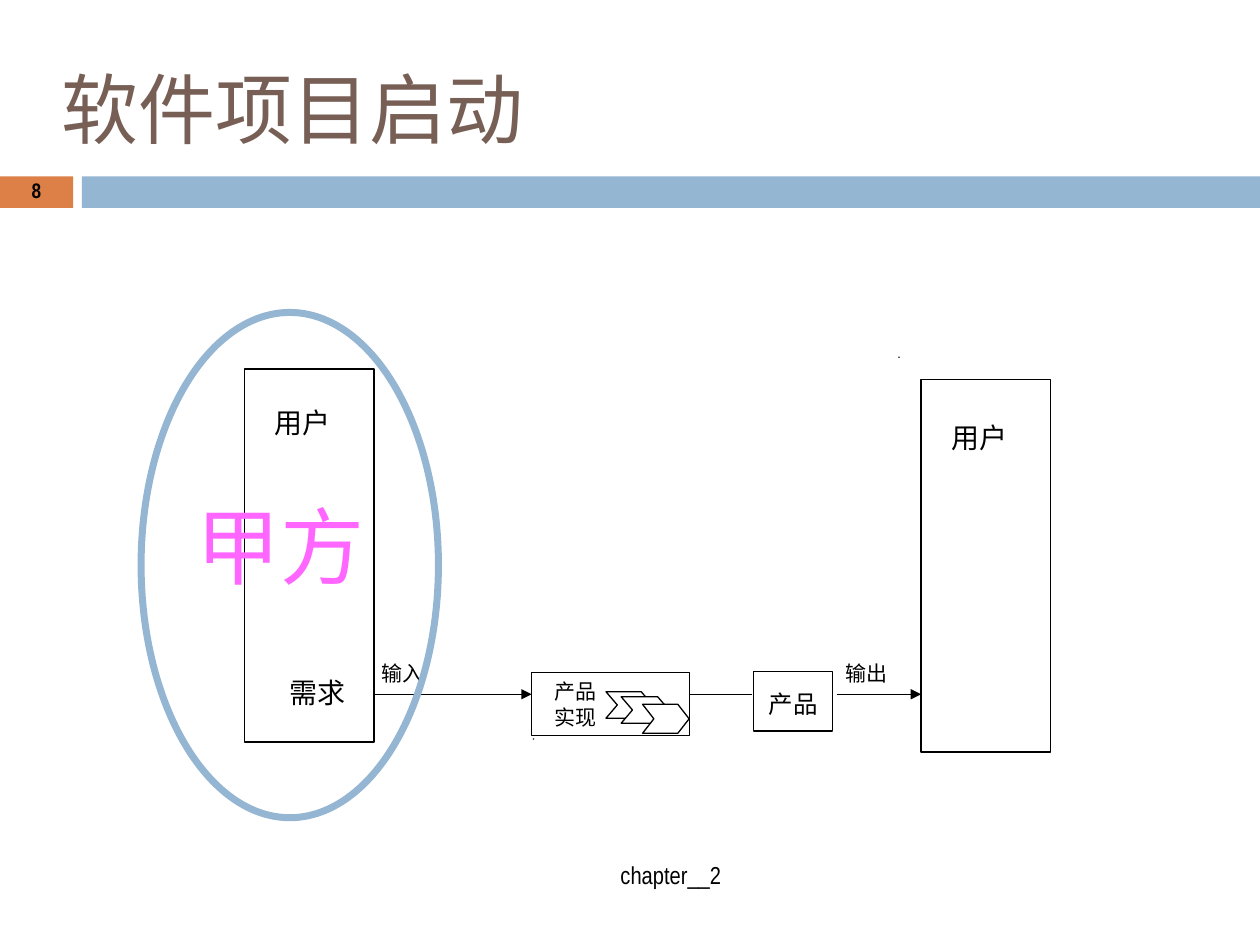
from dataclasses import dataclass
from typing import Optional

from lxml import etree
from pptx import Presentation, util as u
from pptx.dml.color import RGBColor
from pptx.enum import shapes, text
from pptx.oxml.ns import qn


@dataclass(frozen=True)
class Theme:
    """Colours, fonts and type sizes of the slide."""
    ink: str = "000000"
    paper: str = "FFFFFF"
    blue: str = "94B6D2"
    orange: str = "DD8047"
    brown: str = "775F55"
    pink: str = "FF66FF"
    cjk: str = "Noto Sans CJK SC"
    narrow: str = "Arial Narrow"
    serif: str = "Times New Roman"
    title: float = 44
    party: float = 48
    large: float = 16
    medium: float = 14
    small: float = 12
    hairline: float = 0.75
    ring: float = 4


@dataclass(frozen=True)
class Box:
    """A preset shape with its place and paint."""
    x: float
    y: float
    w: float
    h: float
    fill: Optional[str] = None
    line: Optional[str] = None


@dataclass(frozen=True)
class Label:
    """A text and the box that holds it."""
    words: str
    x: float
    y: float
    w: float
    h: float
    size: float
    font: str


@dataclass(frozen=True)
class Flow:
    """A horizontal line of the process."""
    start: float
    end: float
    arrow: bool = True


T = Theme()
MARGINS = (0.1, 0.05, 0.1, 0.05)
FLOW_Y = 5.51
DOT = 0.01

BARS = [Box(0, 1.4, 0.58, 0.25, T.orange), Box(0.65, 1.4, 9.35, 0.25, T.blue)]
PRODUCT = Box(5.98, 5.33, 0.63, 0.47, T.paper, T.ink)
MARKS = [Box(7.13, 2.83, DOT, DOT, T.ink), Box(4.23, 5.86, DOT, DOT, T.ink),
         Box(5.98, 5.8, 0.63, DOT, T.ink)]
FRAMES = [Box(4.22, 5.34, 1.25, 0.5, line=T.ink),
          Box(1.94, 2.93, 1.03, 2.96, line=T.ink),
          Box(7.31, 3.01, 1.03, 2.96, line=T.ink)]
CHEVRONS = [Box(4.81, 5.49, 0.37, 0.21, T.paper, T.ink),
            Box(4.93, 5.53, 0.38, 0.21, T.paper, T.ink),
            Box(5.1, 5.59, 0.37, 0.23, T.paper, T.ink)]
LABELS = [Label("用户", 7.55, 3.34, 0.75, 0.27, T.large, T.serif),
          Label("用户", 2.18, 3.22, 0.75, 0.27, T.large, T.cjk),
          Label("需求", 2.3, 5.36, 0.45, 0.27, T.large, T.cjk),
          Label("产品", 6.1, 5.47, 0.39, 0.23, T.medium, T.cjk),
          Label("输入", 3.03, 5.24, 0.34, 0.2, T.small, T.cjk),
          Label("输出", 6.71, 5.24, 0.34, 0.2, T.small, T.cjk)]
FLOWS = [Flow(6.64, 7.31), Flow(2.97, 4.22), Flow(5.47, 5.97, False)]


def paint(sp, box: Box, width: float = T.hairline) -> None:
    """Set the fill and outline of a shape."""
    sp.shadow.inherit = False
    if box.fill:
        sp.fill.solid()
        sp.fill.fore_color.rgb = RGBColor.from_string(box.fill)
    else:
        sp.fill.background()
    if box.line:
        sp.line.color.rgb = RGBColor.from_string(box.line)
        sp.line.width = u.Pt(width)
    else:
        sp.line.fill.background()


def add_box(s, box: Box, kind=shapes.MSO_SHAPE.RECTANGLE, width: float = T.hairline):
    """Draw a preset shape."""
    sp = s.shapes.add_shape(kind, *map(u.Inches, (box.x, box.y, box.w, box.h)))
    paint(sp, box, width)
    return sp


def add_chevron(s, box: Box) -> None:
    """Draw a notched arrow that fills its box."""
    right, middle = box.x + box.w, box.y + box.h / 2
    bottom, inset = box.y + box.h, 0.09
    points = [(right - inset, box.y), (box.x, box.y), (box.x + inset, middle),
              (box.x, bottom), (right - inset, bottom), (right, middle)]
    emu = [(u.Inches(x), u.Inches(y)) for x, y in points]
    fb = s.shapes.build_freeform(*emu[0])
    fb.add_line_segments(emu[1:], close=True)
    paint(fb.convert_to_shape(), box)


def write(sp, words: str, *, size: float, font: str, color: str = T.ink,
          bold: bool = False, align=text.PP_ALIGN.LEFT, anchor=text.MSO_ANCHOR.TOP,
          margins=(0, 0, 0, 0), wrap: bool = True, spacing: float = 1,
          fit=text.MSO_AUTO_SIZE.NONE) -> None:
    """Put one formatted paragraph into a shape."""
    tf = sp.text_frame
    tf.word_wrap = wrap
    tf.auto_size = fit
    tf.vertical_anchor = anchor
    tf.margin_left, tf.margin_top, tf.margin_right, tf.margin_bottom = map(u.Inches, margins)
    p = tf.paragraphs[0]
    p.alignment = align
    p.line_spacing = spacing
    r = p.add_run()
    r.text = words
    r.font.size = u.Pt(size)
    r.font.name = font
    r.font.bold = bold
    r.font.color.rgb = RGBColor.from_string(color)


def add_label(s, label: Label, **style) -> None:
    """Draw a text box."""
    sp = s.shapes.add_textbox(*map(u.Inches, (label.x, label.y, label.w, label.h)))
    write(sp, label.words, size=label.size, font=label.font, **style)


def add_flow(s, flow: Flow) -> None:
    """Draw a process line, with an arrowhead if asked."""
    ends = map(u.Inches, (flow.start, FLOW_Y, flow.end, FLOW_Y))
    sp = s.shapes.add_connector(shapes.MSO_CONNECTOR.STRAIGHT, *ends)
    sp.line.color.rgb = RGBColor.from_string(T.ink)
    sp.line.width = u.Pt(T.hairline)
    if flow.arrow:
        etree.SubElement(sp.line._get_or_add_ln(), qn("a:tailEnd"), type="triangle")
    etree.SubElement(sp._element.spPr, qn("a:effectLst"))


def main() -> None:
    """Build the slide and save it."""
    prs = Presentation()
    prs.slide_width, prs.slide_height = u.Inches(10), u.Inches(7.5)
    s = prs.slides.add_slide(prs.slide_layouts[6])
    centred = dict(align=text.PP_ALIGN.CENTER, anchor=text.MSO_ANCHOR.MIDDLE, margins=MARGINS)

    for bar in BARS:
        add_box(s, bar)
    add_label(s, Label("软件项目启动", 0.39, 0.44, 8.5, 1.25, T.title, T.cjk),
              color=T.brown, margins=MARGINS)
    add_label(s, Label("chapter__2", 2.36, 6.74, 5.93, 0.4, T.medium, T.narrow), **centred)
    add_label(s, Label("8", 0, 1.39, 0.58, 0.27, T.small, T.narrow),
              bold=True, spacing=0.8, **centred)

    for box in [PRODUCT, *MARKS]:
        add_box(s, box)
    for label in LABELS:
        add_label(s, label, wrap=label.w > 0.5, fit=text.MSO_AUTO_SIZE.SHAPE_TO_FIT_TEXT)
    for chevron in CHEVRONS:
        add_chevron(s, chevron)
    for flow in FLOWS:
        add_flow(s, flow)
    for frame in FRAMES:
        add_box(s, frame)
    add_label(s, Label("产品实现", 4.3, 5.34, 0.67, 0.5, T.small, T.serif), margins=MARGINS)

    ring = add_box(s, Box(1.12, 2.48, 2.36, 4.01, line=T.blue), shapes.MSO_SHAPE.OVAL, T.ring)
    write(ring, "甲方", size=T.party, font=T.narrow, color=T.pink,
          margins=(0.1, 0.86, 0.1, 0.05), wrap=False)
    prs.save("out.pptx")


if __name__ == "__main__":
    main()
